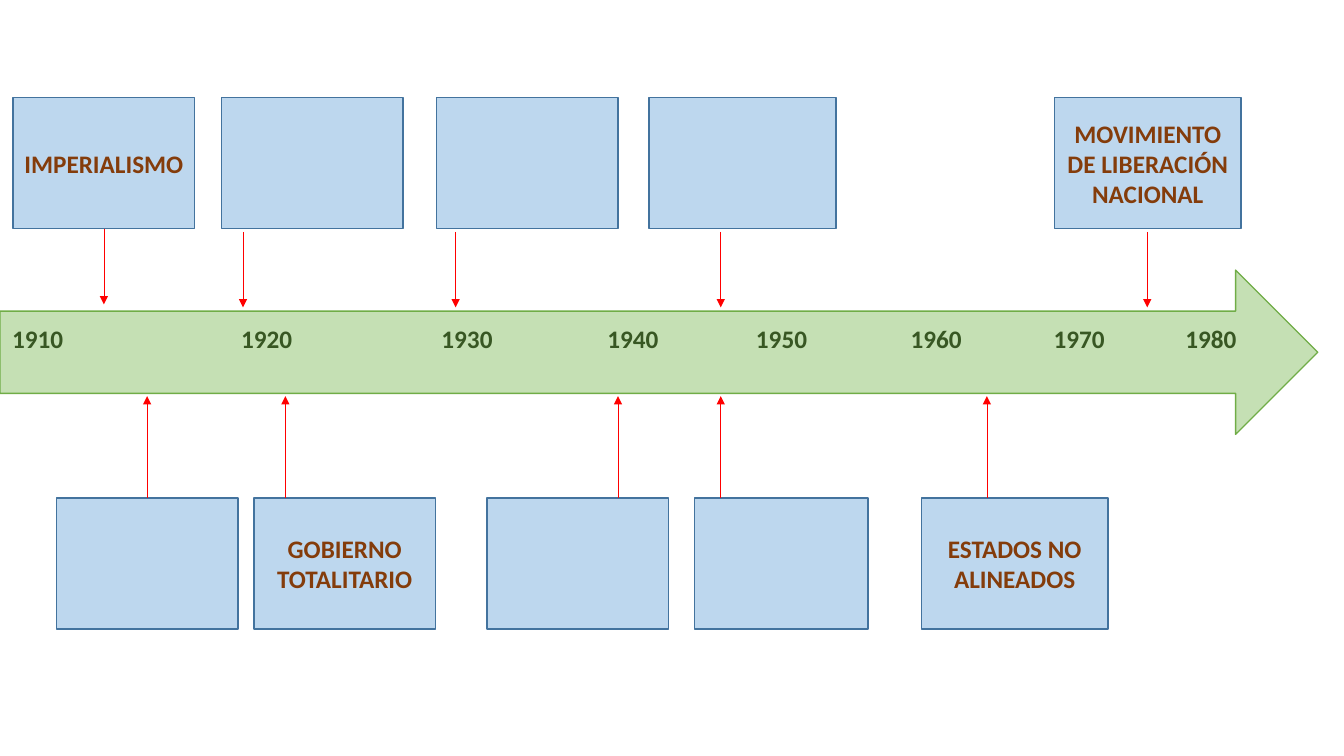
from dataclasses import dataclass
from typing import Optional

from lxml.etree import SubElement
from pptx import Presentation
from pptx.dml.color import RGBColor
from pptx.enum.shapes import MSO_CONNECTOR as Connector, MSO_SHAPE as Shape
from pptx.enum.text import MSO_ANCHOR as Anchor, PP_ALIGN as Align
from pptx.oxml.ns import qn
from pptx.util import Inches, Pt

# The grid: 100 columns by 100 rows over the slide
WIDTH, HEIGHT = Inches(13.33), Inches(7.5)

BOX_HEIGHT = 17.33
UPPER_TOP, LOWER_TOP = 12.93, 65.87
UPPER_REACH, LOWER_REACH = 10, -13.47  # signed pointer lengths in rows
UPPER_GAP = 0.4  # between a box and a pointer that is not joined to it
TOP_SIDE, BOTTOM_SIDE = 0, 2


@dataclass
class Event:
    left: float
    pointer: Optional[float] = None  # None: joined at the middle of the box
    text: str = ""
    width: float = 13.5


@dataclass
class Year:
    label: str
    left: float


UPPER_EVENTS = [
    Event(0.98, text="IMPERIALISMO"),
    Event(16.5, 18.08),
    Event(32.48, 33.9),
    Event(48.3, 53.63, width=13.9),
    Event(78.45, 85.36, "MOVIMIENTO DE LIBERACIÓN NACIONAL", 13.9),
]
LOWER_EVENTS = [
    Event(4.2),
    Event(18.9, 21.23, "GOBIERNO TOTALITARIO"),
    Event(36.23, 45.98),
    Event(51.68, 53.63, width=12.9),
    Event(68.55, 73.43, "ESTADOS NO ALINEADOS", 13.9),
]
YEARS = [
    Year("1910", 0.9), Year("1920", 17.95), Year("1930", 32.85), Year("1940", 45.2),
    Year("1950", 56.25), Year("1960", 67.75), Year("1970", 78.4), Year("1980", 88.2),
]


def columns(count: float) -> int:
    return round(WIDTH * count / 100)


def rows(count: float) -> int:
    return round(HEIGHT * count / 100)


def color(value: str) -> RGBColor:
    return RGBColor.from_string(value)


def add_block(slide, preset, left: float, top: float, width: float, height: float,
              fill: str, line: str):
    shape = slide.shapes.add_shape(
        preset, columns(left), rows(top), columns(width), rows(height))
    shape.shadow.inherit = False
    shape.fill.solid()
    shape.fill.fore_color.rgb = color(fill)
    shape.line.color.rgb = color(line)
    shape.line.width = Pt(1)
    shape.text_frame.word_wrap = True
    return shape


def format_text(paragraph, align, text_color: str) -> None:
    paragraph.alignment = align
    font = paragraph.font
    font.name, font.size, font.bold = "Calibri", Pt(18), True
    font.color.rgb = color(text_color)


def add_timeline(slide, years: list[Year]) -> None:
    arrow = add_block(slide, Shape.RIGHT_ARROW, 0, 35.73, 98.05, 21.73, "C5E0B4", "70AD47")
    frame = arrow.text_frame
    frame.vertical_anchor = Anchor.TOP
    frame.margin_left = columns(years[0].left)
    frame.margin_top = rows(1.6)
    paragraph = frame.paragraphs[0]
    paragraph.text = "\t".join(year.label for year in years)
    # One tab stop for each year after the first
    tabs = SubElement(paragraph._p.get_or_add_pPr(), qn("a:tabLst"))
    for year in years[1:]:
        position = columns(year.left - years[0].left)
        SubElement(tabs, qn("a:tab"), pos=str(position), algn="l")
    format_text(paragraph, Align.LEFT, "385723")


def add_event_box(slide, event: Event, top: float):
    box = add_block(slide, Shape.RECTANGLE, event.left, top, event.width, BOX_HEIGHT,
                    "BDD7EE", "43739E")
    if event.text:
        box.text_frame.vertical_anchor = Anchor.MIDDLE
        paragraph = box.text_frame.paragraphs[0]
        paragraph.text = event.text
        format_text(paragraph, Align.CENTER, "843C0B")
    return box


def add_pointer(slide, event: Event, box, start: float, reach: float, gap: float,
                side: int) -> None:
    joined = event.pointer is None
    x = event.left + event.width / 2 if joined else event.pointer
    y = start if joined else start + gap
    pointer = slide.shapes.add_connector(
        Connector.STRAIGHT, columns(x), rows(y), columns(x), rows(y + reach))
    if joined:
        pointer.begin_connect(box, side)
    pointer.line.color.rgb = color("FF0000")
    pointer.line.width = Pt(0.5)
    SubElement(pointer.line._get_or_add_ln(), qn("a:tailEnd"), type="triangle")
    SubElement(pointer._element.spPr, qn("a:effectLst"))


def main() -> None:
    presentation = Presentation()
    presentation.slide_width, presentation.slide_height = WIDTH, HEIGHT
    slide = presentation.slides.add_slide(presentation.slide_layouts[6])

    # Timeline arrow with its years
    add_timeline(slide, YEARS)

    # Events above the arrow
    for event in UPPER_EVENTS:
        box = add_event_box(slide, event, UPPER_TOP)
        add_pointer(slide, event, box, UPPER_TOP + BOX_HEIGHT, UPPER_REACH, UPPER_GAP,
                    BOTTOM_SIDE)

    # Events below the arrow
    for event in LOWER_EVENTS:
        box = add_event_box(slide, event, LOWER_TOP)
        add_pointer(slide, event, box, LOWER_TOP, LOWER_REACH, 0, TOP_SIDE)

    presentation.save("out.pptx")


if __name__ == "__main__":
    main()
